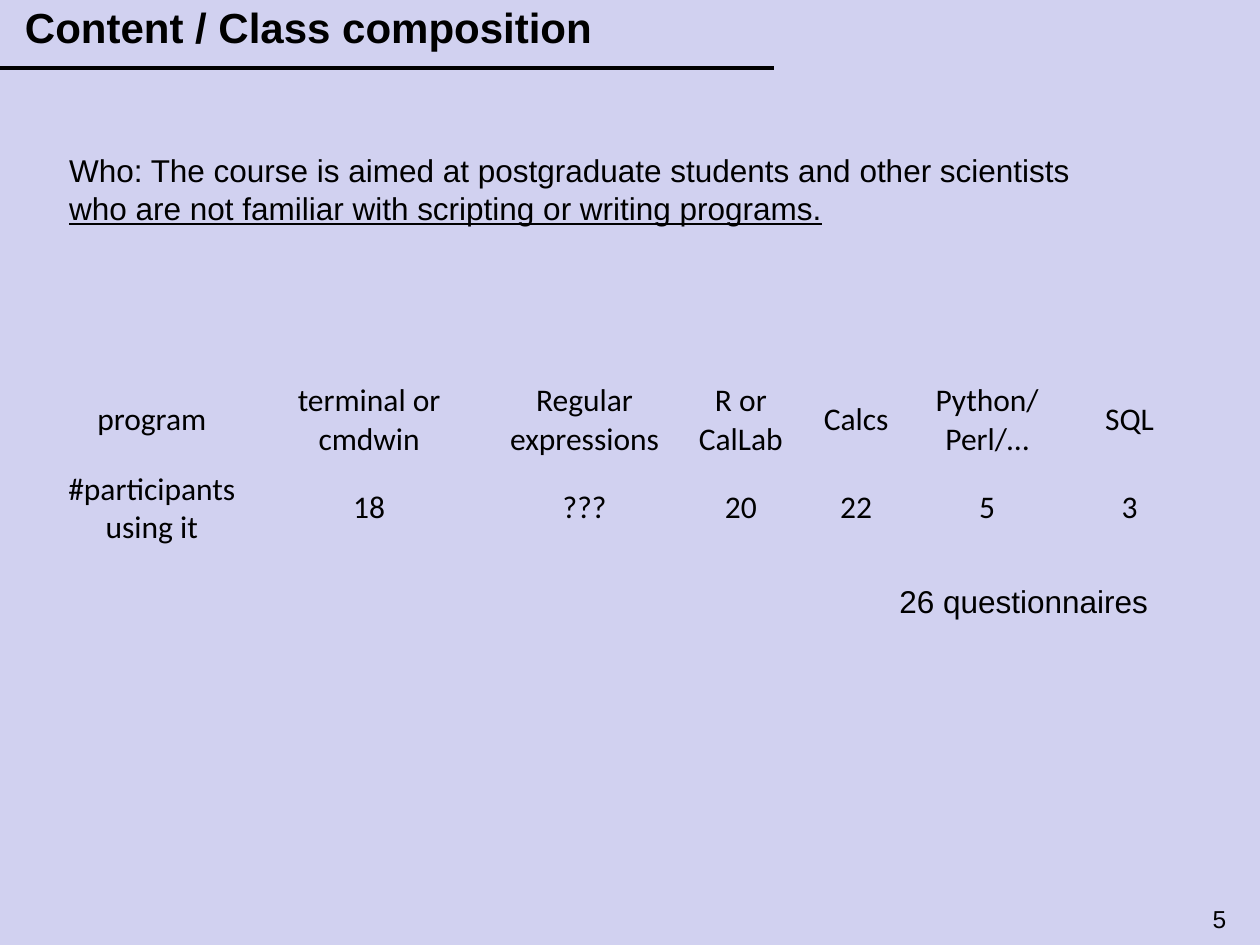
from lxml import etree
from pptx import Presentation
from pptx import util as u
from pptx.dml.color import RGBColor
from pptx.enum import shapes, text
from pptx.oxml.ns import qn

WIDTH, HEIGHT = 10, 7.5
INK, BACKGROUND = "000000", "D1D1F0"
PLAIN_STYLE = "{2D5ABB26-0587-4C30-8999-92F81FD0307C}"
BODY = {"name": "Arial", "size": u.Pt(18)}
TITLE = {"name": "Arial", "size": u.Pt(24), "bold": True}
NUMBER = {"name": "Arial", "size": u.Pt(14)}
CELL = {"name": "Calibri", "size": u.Pt(18)}
UNDERLINED = {**BODY, "underline": True}
COLUMN_WIDTHS = [1.53, 1.92, 1.5, 0.98, 0.85, 1.23, 1.03]
ROW_HEIGHT = 0.7
SURVEY = [
    ["program", "terminal or cmdwin", "Regular expressions", "R or CalLab",
     "Calcs", "Python/Perl/…", "SQL"],
    ["#participants using it", "18", "???", "20", "22", "5", "3"],
]


def paint(color_format, color):
    """Give a colour format a hex colour."""
    color_format.rgb = RGBColor.from_string(color)


def write(paragraph, words, style, align=text.PP_ALIGN.LEFT):
    """Put one styled run into a paragraph."""
    paragraph.alignment = align
    run = paragraph.add_run()
    run.text = words
    for name, value in style.items():
        setattr(run.font, name, value)
    paint(run.font.color, INK)


def add_text(slide, box, lines, wrap=False, align=text.PP_ALIGN.LEFT):
    """Add a text box, growing unless wrapped, from (words, style) pairs."""
    frame = slide.shapes.add_textbox(*map(u.Inches, box)).text_frame
    frame.word_wrap = wrap
    if not wrap:
        frame.auto_size = text.MSO_AUTO_SIZE.SHAPE_TO_FIT_TEXT
    for index, (words, style) in enumerate(lines):
        paragraph = frame.add_paragraph() if index else frame.paragraphs[0]
        write(paragraph, words, style, align)


def add_rule(slide, top, length):
    """Draw the horizontal line under the title."""
    ends = map(u.Inches, (0, top, length, top))
    rule = slide.shapes.add_connector(shapes.MSO_CONNECTOR.STRAIGHT, *ends)
    rule.line.width = u.Pt(2.25)
    paint(rule.line.color, INK)
    etree.SubElement(rule._element.spPr, qn("a:effectLst"))


def add_survey(slide, left, top):
    """Add the unfilled, borderless table of programs and their users."""
    size = (sum(COLUMN_WIDTHS), ROW_HEIGHT * len(SURVEY))
    frame = slide.shapes.add_table(
        len(SURVEY), len(COLUMN_WIDTHS), *map(u.Inches, (left, top, *size)))
    table = frame.table
    table.first_row = table.horz_banding = False
    table._tbl.tblPr.find(qn("a:tableStyleId")).text = PLAIN_STYLE
    for column, width in zip(table.columns, COLUMN_WIDTHS):
        column.width = u.Inches(width)
    for row, values in zip(table.rows, SURVEY):
        row.height = u.Inches(ROW_HEIGHT)
        for cell, value in zip(row.cells, values):
            cell.fill.background()
            cell.vertical_anchor = text.MSO_ANCHOR.MIDDLE
            write(cell.text_frame.paragraphs[0], value, CELL, text.PP_ALIGN.CENTER)


def main():
    """Build and save the class composition slide."""
    presentation = Presentation()
    presentation.slide_width = u.Inches(WIDTH)
    presentation.slide_height = u.Inches(HEIGHT)
    slide = presentation.slides.add_slide(presentation.slide_layouts[6])
    slide.background.fill.solid()
    paint(slide.background.fill.fore_color, BACKGROUND)
    add_rule(slide, 0.54, 6.14)
    add_text(slide, (0.75 * WIDTH, 0.95 * HEIGHT, 2.33, 0.52), [("5", NUMBER)],
             wrap=True, align=text.PP_ALIGN.RIGHT)
    add_text(slide, (0.45, 1.15, 8.15, 1.3), [
        ("Who: The course is aimed at postgraduate students and other scientists", BODY),
        ("who are not familiar with scripting or writing programs.", UNDERLINED),
    ])
    add_text(slide, (0.1, -0.04, 4.7, 0.5), [("Content / Class composition", TITLE)])
    add_survey(slide, 0.44, 2.98)
    add_text(slide, (7.04, 4.57, 2.2, 0.4), [("26 questionnaires", BODY)])
    presentation.save("out.pptx")


if __name__ == "__main__":
    main()
